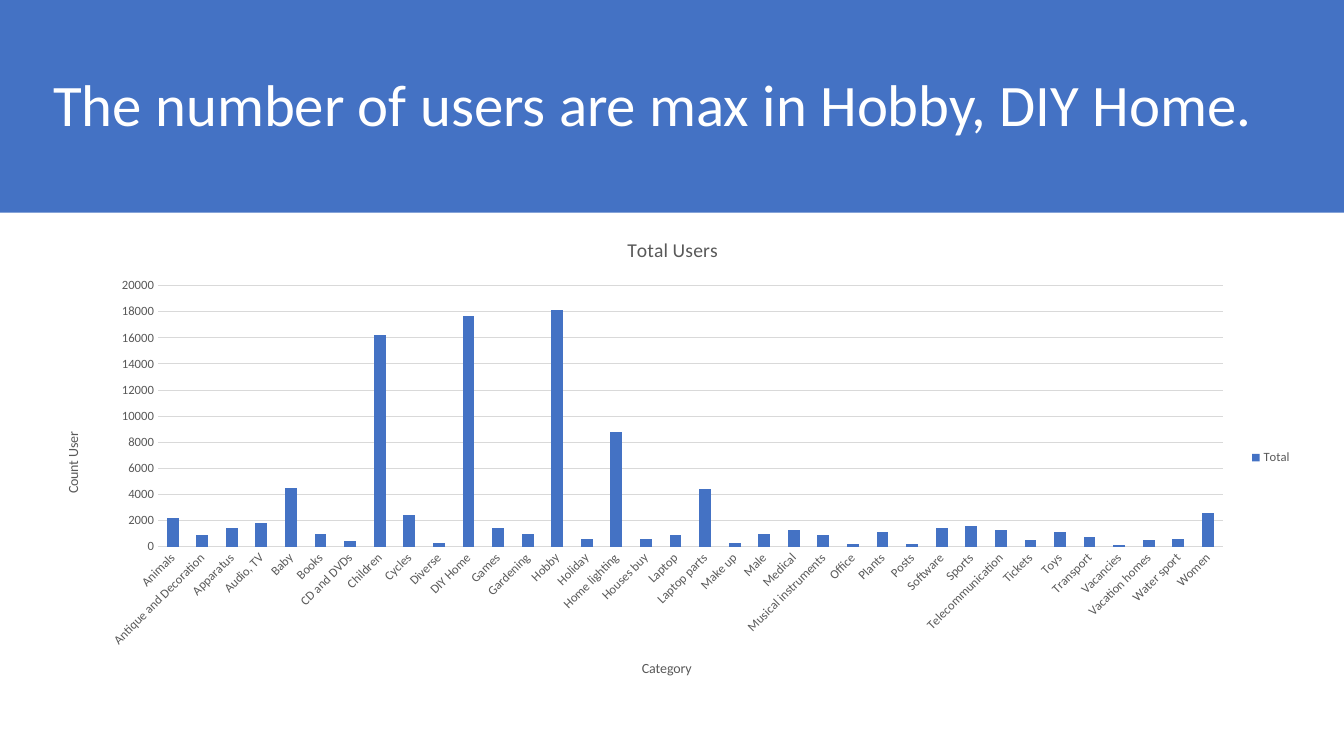
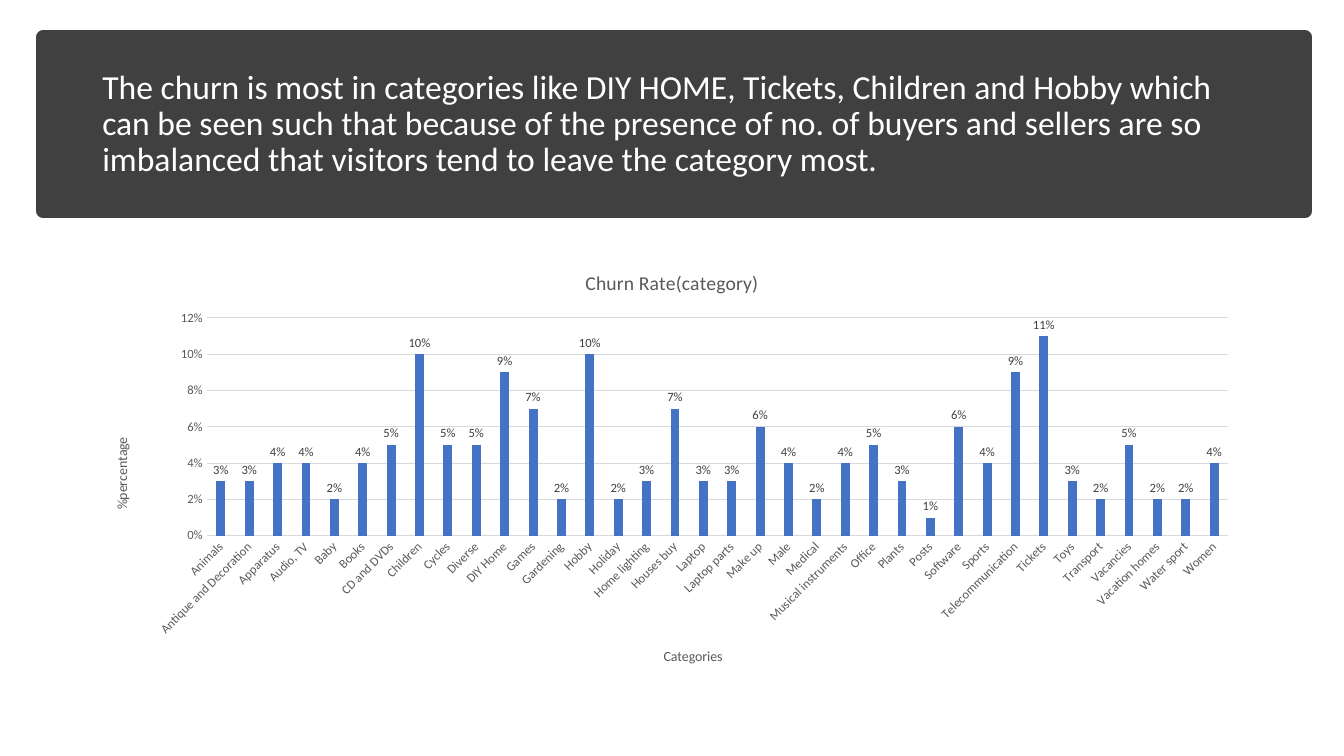
from dataclasses import dataclass

from pptx import Presentation
from pptx.chart.data import CategoryChartData
from pptx.dml.color import RGBColor
from pptx.enum.chart import XL_CHART_TYPE, XL_LABEL_POSITION, XL_LEGEND_POSITION, XL_TICK_MARK
from pptx.enum.shapes import MSO_SHAPE
from pptx.enum.text import MSO_ANCHOR
from pptx.util import Pt

STACKED = XL_CHART_TYPE.COLUMN_STACKED
CLUSTERED = XL_CHART_TYPE.COLUMN_CLUSTERED
OUTSIDE_END = XL_LABEL_POSITION.OUTSIDE_END
LEGEND_RIGHT = XL_LEGEND_POSITION.RIGHT
NO_TICK = XL_TICK_MARK.NONE
RECTANGLE = MSO_SHAPE.RECTANGLE
MIDDLE = MSO_ANCHOR.MIDDLE


@dataclass(frozen=True)
class Theme:
    font: str = "Calibri"
    blue: str = "4472C4"
    dark: str = "404040"
    white: str = "FFFFFF"
    grey: str = "595959"
    rule: str = "D9D9D9"
    chart_title: int = 14
    axis_title: int = 10
    tick: int = 9
    rule_width: float = 0.75
    line_spacing: float = 0.9


THEME = Theme()

CATEGORIES = [
    "Animals", "Antique and Decoration", "Apparatus", "Audio, TV", "Baby", "Books",
    "CD and DVDs", "Children", "Cycles", "Diverse", "DIY Home", "Games",
    "Gardening", "Hobby", "Holiday", "Home lighting", "Houses buy", "Laptop",
    "Laptop parts", "Make up", "Male", "Medical", "Musical instruments", "Office",
    "Plants", "Posts", "Software", "Sports", "Telecommunication", "Tickets",
    "Toys", "Transport", "Vacancies", "Vacation homes", "Water sport", "Women",
]
USERS = [
    2200, 900, 1400, 1800, 4500, 1000, 400, 16200, 2400, 300, 17700, 1400,
    1000, 18100, 600, 8800, 600, 900, 4400, 300, 1000, 1300, 900, 200,
    1100, 200, 1400, 1600, 1300, 500, 1100, 700, 100, 500, 600, 2600,
]
CHURN_PERCENT = [
    3, 3, 4, 4, 2, 4, 5, 10, 5, 5, 9, 7, 2, 10, 2, 3, 7, 3,
    3, 6, 4, 2, 4, 5, 3, 1, 6, 4, 9, 11, 3, 2, 5, 2, 2, 4,
]

SLIDES = [
    {
        "title": "The number of users are max in Hobby, DIY Home.",
        "title_size": 42,
        "title_box": (31, 25, 899, 104),
        "band": (0, -0.5, 960, 152.5),
        "band_color": THEME.blue,
        "band_border": 0,
        "chart_box": (31, 155.5, 899, 343),
        "chart": {
            "kind": STACKED, "title": "Total Users", "series": "Total", "values": USERS,
            "x_title": "Category", "y_title": "Count User", "format": "General",
            "top": 20000, "step": 2000, "gap": 150, "overlap": 100,
            "legend": True, "labels": False,
        },
    },
    {
        "title": "The churn is most in categories like DIY HOME, Tickets, Children and Hobby "
                 "which can be seen such that because of the presence of no. of buyers and "
                 "sellers are so imbalanced that visitors tend to leave the category most.",
        "title_size": 24,
        "title_box": (66, 37, 828, 104),
        "band": (31, 26.5, 901, 124.5),
        "band_color": THEME.dark,
        "band_border": 10,
        "chart_box": (66, 180, 828, 310),
        "chart": {
            "kind": CLUSTERED, "title": "Churn Rate(category)",
            "series": "Churn Rate(category)",
            "values": [percent / 100 for percent in CHURN_PERCENT],
            "x_title": "Categories", "y_title": "%percentage", "format": "0%",
            "top": 0.12, "step": 0.02, "gap": 219, "overlap": -27,
            "legend": False, "labels": True,
        },
    },
]


def points(box):
    return [Pt(length) for length in box]


def style_font(font, size, color):
    font.name = THEME.font
    font.size = Pt(size)
    font.bold = False
    font.color.rgb = RGBColor.from_string(color)


def write(frame, text, *, size, color, spacing=None):
    paragraph = frame.paragraphs[0]
    paragraph.line_spacing = spacing
    run = paragraph.add_run()
    run.text = text
    style_font(run.font, size, color)


def add_band(slide, box, color, border):
    band = slide.shapes.add_shape(RECTANGLE, *points(box))
    band.shadow.inherit = False
    band.fill.solid()
    band.fill.fore_color.rgb = RGBColor.from_string(color)
    if border:
        band.line.color.rgb = RGBColor.from_string(color)
        band.line.width = Pt(border)
    else:
        band.line.fill.background()


def add_title(slide, text, box, size):
    frame = slide.shapes.add_textbox(*points(box)).text_frame
    frame.word_wrap = True
    frame.vertical_anchor = MIDDLE
    write(frame, text, size=size, color=THEME.white, spacing=THEME.line_spacing)


def style_rule(line):
    line.color.rgb = RGBColor.from_string(THEME.rule)
    line.width = Pt(THEME.rule_width)


def style_axis(axis, title, label_turn, title_turn):
    axis.major_tick_mark = axis.minor_tick_mark = NO_TICK
    style_font(axis.tick_labels.font, THEME.tick, THEME.grey)
    write(axis.axis_title.text_frame, title, size=THEME.axis_title, color=THEME.grey)
    for route, degrees in (("c:txPr/a:bodyPr", label_turn),
                           ("c:title/c:tx/c:rich/a:bodyPr", title_turn)):
        for body in axis._element.xpath(route):
            body.set("rot", str(degrees * 60000))
            body.set("vert", "horz")


def add_column_chart(slide, box, content):
    data = CategoryChartData(number_format=content["format"])
    data.categories = CATEGORIES
    data.add_series(content["series"], content["values"])
    chart = slide.shapes.add_chart(content["kind"], *points(box), data).chart
    style_font(chart.font, THEME.tick, THEME.grey)

    chart.has_title = True
    write(chart.chart_title.text_frame, content["title"],
          size=THEME.chart_title, color=THEME.grey)

    category_axis, value_axis = chart.category_axis, chart.value_axis
    style_axis(category_axis, content["x_title"], -45, 0)
    style_axis(value_axis, content["y_title"], 0, -90)
    style_rule(category_axis.format.line)
    value_axis.format.line.fill.background()
    style_rule(value_axis.major_gridlines.format.line)
    value_axis.minimum_scale = 0
    value_axis.maximum_scale = content["top"]
    value_axis.major_unit = content["step"]
    value_axis.tick_labels.number_format = content["format"]
    value_axis.tick_labels.number_format_is_linked = False

    plot = chart.plots[0]
    plot.vary_by_categories = False
    plot.gap_width = content["gap"]
    plot.overlap = content["overlap"]
    columns = plot.series[0]
    columns.format.fill.solid()
    columns.format.fill.fore_color.rgb = RGBColor.from_string(THEME.blue)

    chart.has_legend = content["legend"]
    if content["legend"]:
        chart.legend.position = LEGEND_RIGHT
        chart.legend.include_in_layout = False
        style_font(chart.legend.font, THEME.tick, THEME.grey)
    if content["labels"]:
        labels = columns.data_labels
        labels.show_value = True
        labels.position = OUTSIDE_END
        labels.number_format = content["format"]
        labels.number_format_is_linked = False
        style_font(labels.font, THEME.tick, THEME.dark)


def main():
    deck = Presentation()
    deck.slide_width, deck.slide_height = Pt(960), Pt(540)
    blank = deck.slide_layouts[6]
    for content in SLIDES:
        slide = deck.slides.add_slide(blank)
        add_band(slide, content["band"], content["band_color"], content["band_border"])
        add_title(slide, content["title"], content["title_box"], content["title_size"])
        add_column_chart(slide, content["chart_box"], content["chart"])
    deck.save("out.pptx")


if __name__ == "__main__":
    main()
